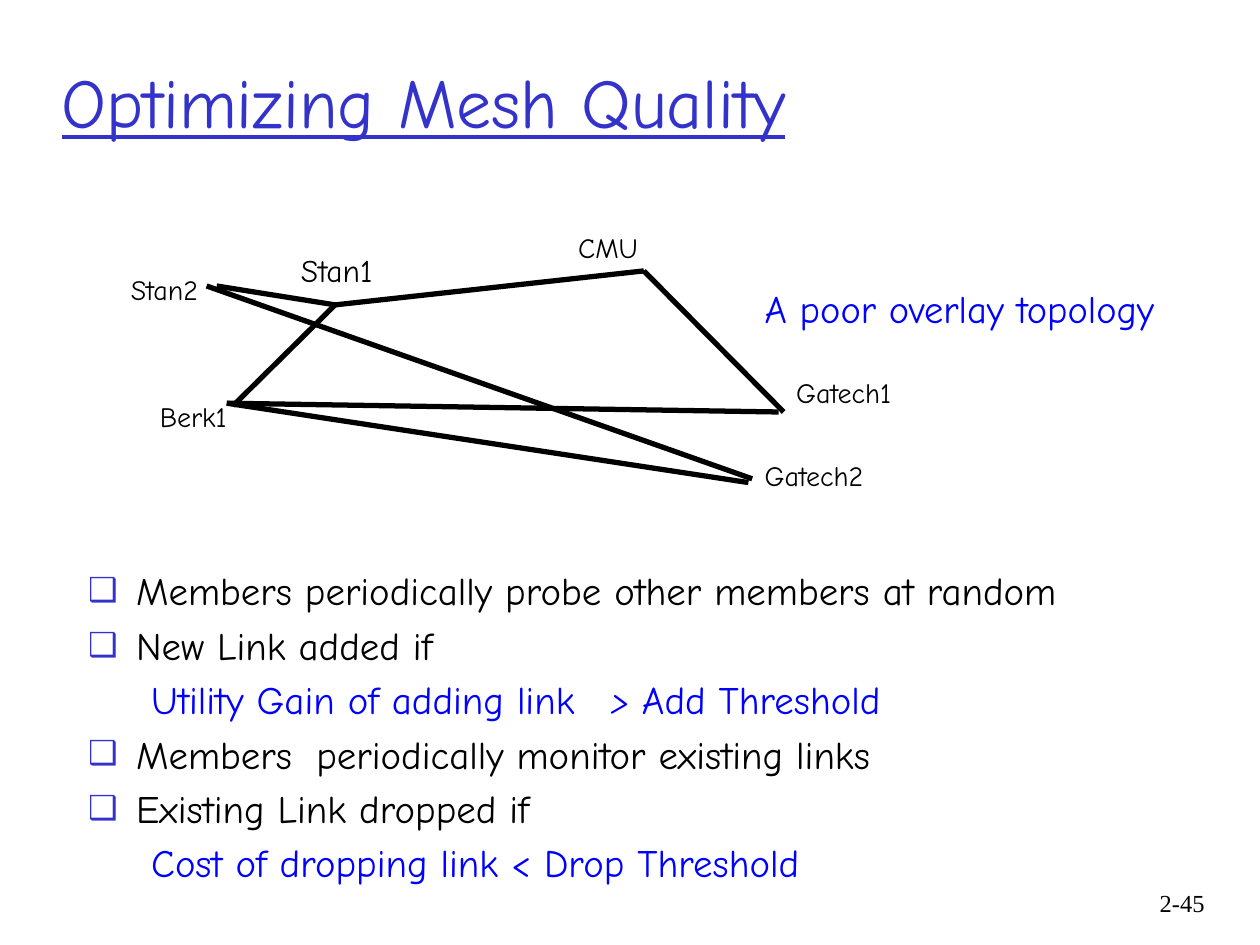
import pptx
import pptx.util
import pptx.dml.color
import pptx.enum.shapes
import pptx.enum.text
import pptx.oxml.ns
import lxml.etree

Inches = pptx.util.Inches
Align = pptx.enum.text.PP_ALIGN
Anchor = pptx.enum.text.MSO_ANCHOR
BLACK = pptx.dml.color.RGBColor(0x00, 0x00, 0x00)
BLUE = pptx.dml.color.RGBColor(0x00, 0x00, 0xFF)
INDIGO = pptx.dml.color.RGBColor(0x33, 0x33, 0xCC)
FACE = "Comic Neue"


def add_tag(host, tag, **attrs):
    return lxml.etree.SubElement(host, pptx.oxml.ns.qn(tag), attrs)


def set_all(item, look):
    for name, value in look.items():
        setattr(item, name, value)


def place(shape, box):
    names = ("left", "top", "width", "height")
    set_all(shape, dict(zip(names, map(Inches, box))))


def write(par, text, size, hue, **more):
    run = par.add_run()
    run.text = text
    look = {"name": FACE, "size": pptx.util.Pt(size), **more}
    set_all(run.font, look)
    run.font.color.rgb = hue
    return run


def set_frame(shape, anchor):
    look = {"word_wrap": True, "vertical_anchor": anchor,
            "auto_size": pptx.enum.text.MSO_AUTO_SIZE.NONE}
    set_all(shape.text_frame, look)
    return shape.text_frame.paragraphs[0]


def add_label(slide, box, text, size, hue=BLACK, anchor=Anchor.MIDDLE, **more):
    shape = slide.shapes.add_textbox(*map(Inches, box))
    par = set_frame(shape, anchor)
    write(par, text, size, hue, **more)
    return par


def add_title(slide, box):
    shape = slide.shapes.title
    place(shape, box)
    par = set_frame(shape, Anchor.MIDDLE)
    par.alignment = Align.LEFT
    write(par, "Optimizing Mesh Quality", 40, INDIGO, underline=True)


def add_mesh(slide, box):
    left, top, wide, high = box
    links = [
        ((4.17, 0.37), (1.72, 0.64)),
        ((4.17, 0.37), (5.28, 1.49)),
        ((1.72, 0.64), (0.78, 0.49)),
        ((0.86, 1.42), (5.24, 1.49)),
        ((0.86, 1.42), (5, 2.05)),
        ((0.7, 0.49), (5.03, 2.02)),
        ((1.72, 0.64), (0.91, 1.44)),
    ]
    for (x1, y1), (x2, y2) in links:
        ends = (left + x1, top + y1, left + x2, top + y2)
        line = slide.shapes.add_connector(
            pptx.enum.shapes.MSO_CONNECTOR.STRAIGHT, *map(Inches, ends))
        line.line.color.rgb = BLACK
        line.line.width = pptx.util.Pt(3)
        add_tag(line._element.spPr, "a:effectLst")
    labels = [
        ("Berk1", 0.23, 1.34, 16, BLACK),
        ("Stan2", 0, 0.33, 16, BLACK),
        ("CMU", 3.55, 0, 16, BLACK),
        ("Gatech1", 5.28, 1.15, 16, BLACK),
        ("Stan1", 1.35, 0.18, 18, BLACK),
        ("Gatech2", 5.03, 1.81, 16, BLACK),
        ("A poor overlay topology", 5.03, 0.48, 22, BLUE),
    ]
    for text, x, y, size, hue in labels:
        span = wide - x if hue == BLUE else 1.42
        add_label(slide, (left + x, top + y, span, 0.37), text, size, hue)


def set_point(par, deep):
    props = par._p.get_or_add_pPr()
    margin, indent = (0.81, -0.31) if deep else (0.38, -0.38)
    props.set("marL", str(Inches(margin)))
    props.set("indent", str(Inches(indent)))
    if deep:
        par.level = 1
        add_tag(props, "a:buNone")
    else:
        add_tag(add_tag(props, "a:buClr"), "a:srgbClr", val=str(INDIGO))
        add_tag(props, "a:buSzPct", val="85000")
        add_tag(props, "a:buChar", char="❑")


def add_points(slide, box):
    shape = slide.placeholders[1]
    place(shape, box)
    par = set_frame(shape, Anchor.TOP)
    gap = "spc"
    points = [
        (False, [("Members periodically probe other members at random", {})]),
        (False, [("New Link added if", {})]),
        (True, [("Utility Gain of adding link", {}), (" ", {gap: "1300"}),
                (">", {"italic": True}), (" Add Threshold", {})]),
        (False, [("Members", {}), (" ", {gap: "650"}),
                 ("periodically monitor existing links", {})]),
        (False, [("Existing Link dropped if", {})]),
        (True, [("Cost of dropping link < Drop Threshold", {})]),
    ]
    for row, (deep, parts) in enumerate(points):
        if row:
            par = shape.text_frame.add_paragraph()
        set_point(par, deep)
        for text, look in parts:
            more = {key: val for key, val in look.items() if key != gap}
            run = write(par, text, 22.2, BLUE if deep else BLACK, **more)
            if gap in look:
                run.font._element.set(gap, look[gap])


def add_page(slide, box):
    par = add_label(slide, box, "2-45", 14, anchor=Anchor.TOP,
                    name="Times New Roman")
    par.alignment = Align.RIGHT


def main():
    deck = pptx.Presentation()
    set_all(deck, {"slide_width": Inches(10), "slide_height": Inches(7.5)})
    slide = deck.slides.add_slide(deck.slide_layouts[1])
    add_title(slide, (0.39, 0.17, 8.5, 1.25))
    add_points(slide, (0.6, 4.45, 8.82, 2.66))
    add_mesh(slide, (0.94, 1.78, 8.52, 2.18))
    add_page(slide, (8.92, 7, 0.74, 0.5))
    deck.save("out.pptx")


if __name__ == "__main__":
    main()
